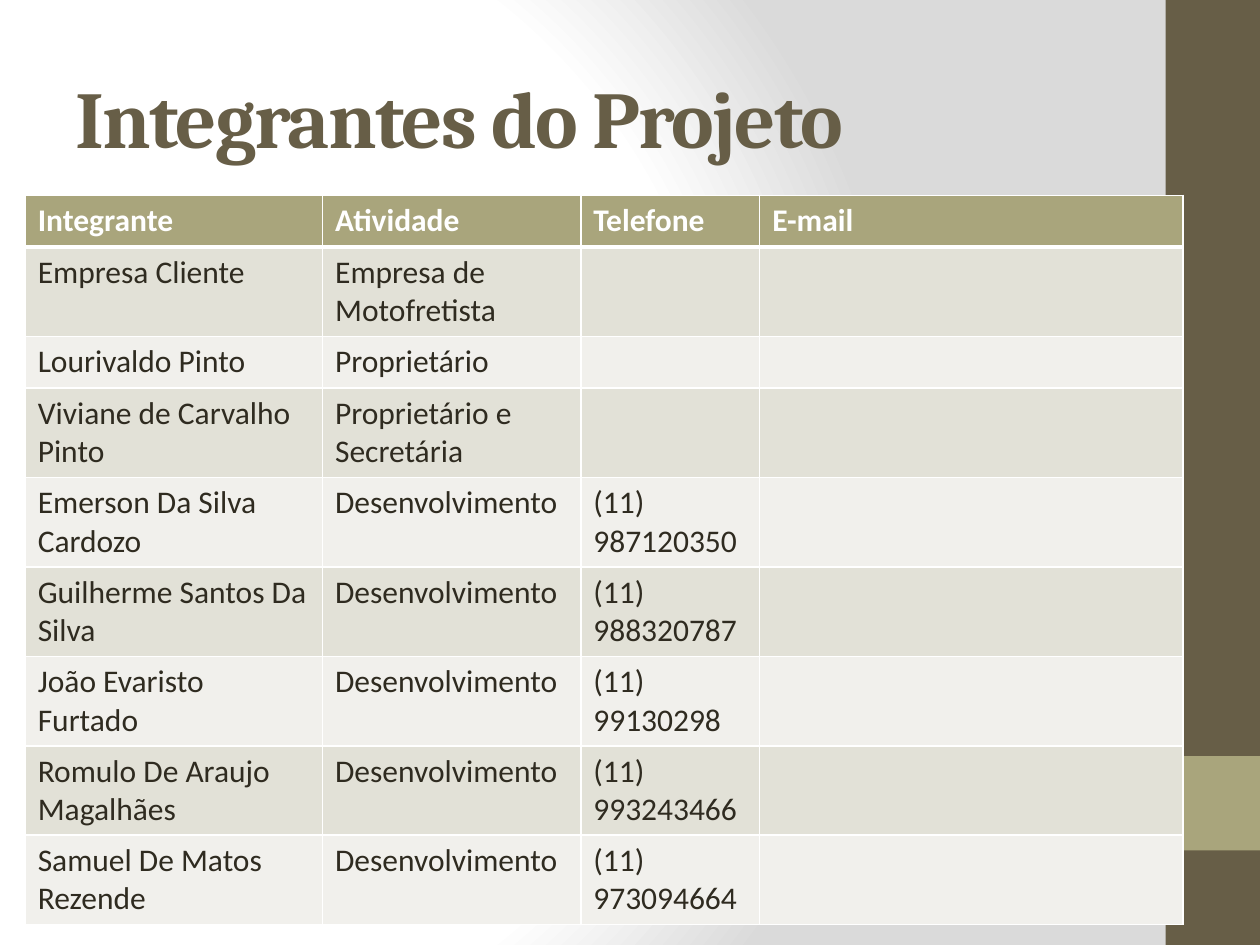
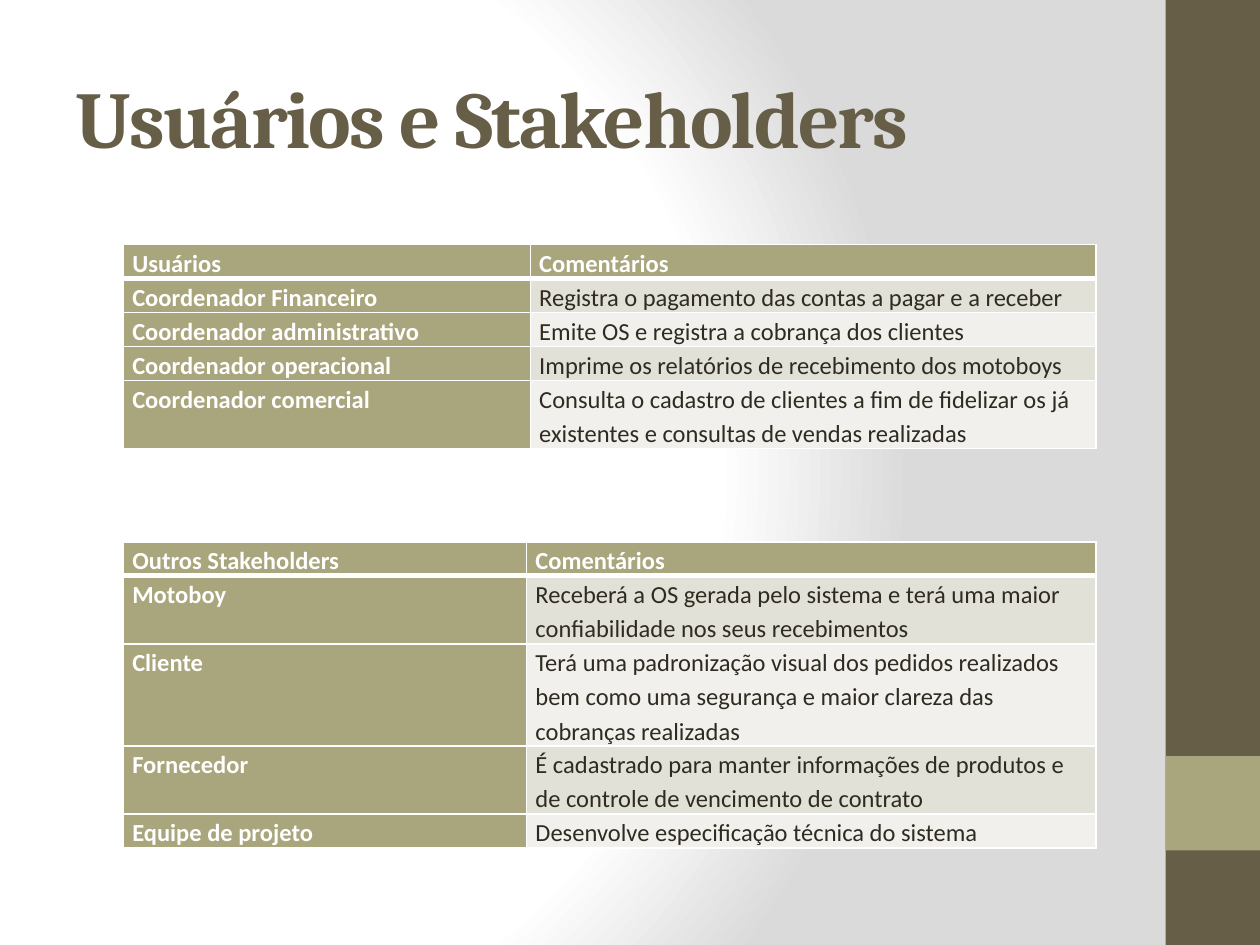
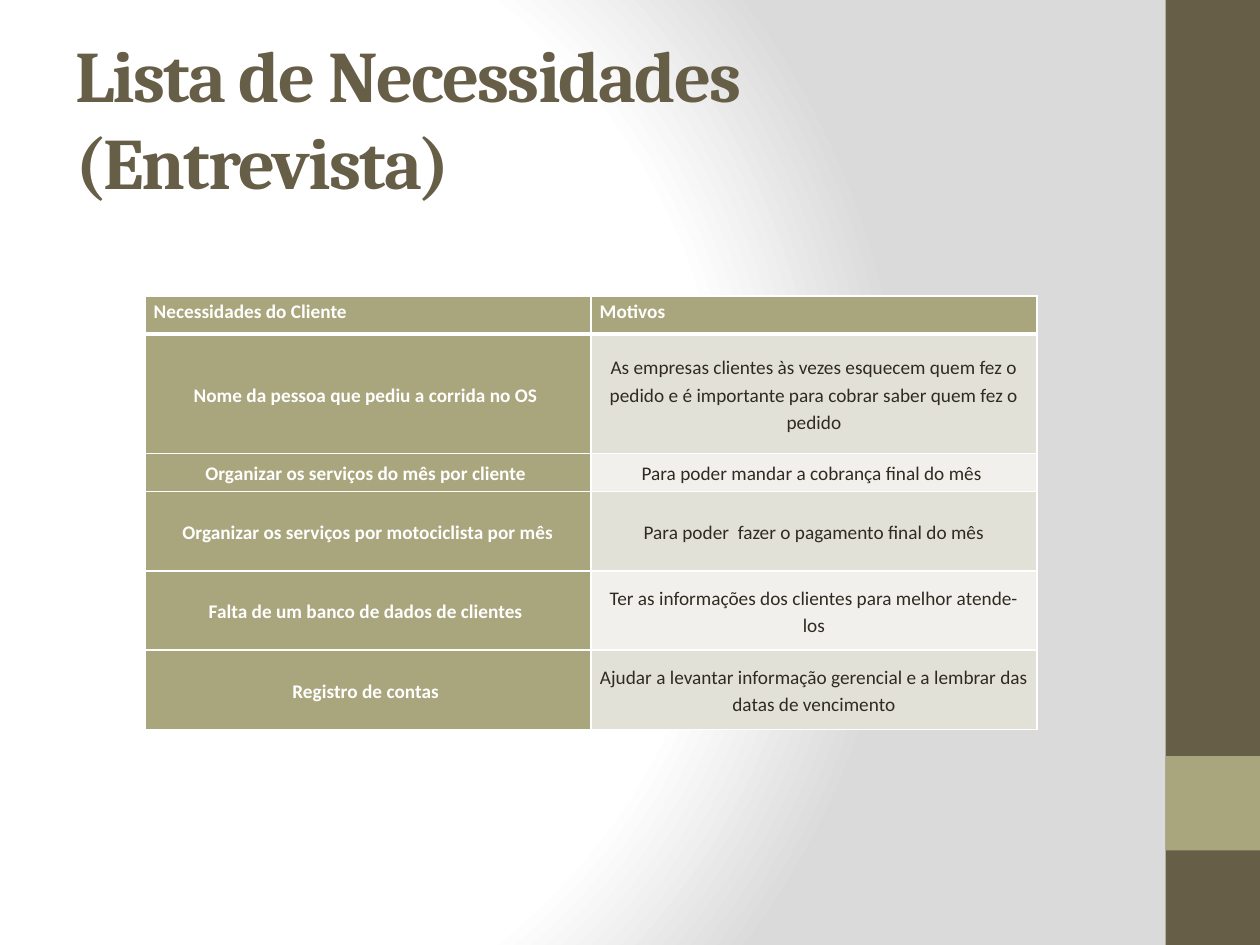
from dataclasses import dataclass
from typing import Any

from lxml import etree
from pptx import Presentation
from pptx.dml.color import RGBColor
from pptx.enum.shapes import MSO_SHAPE as Shape
from pptx.enum.text import MSO_ANCHOR as Anchor, PP_ALIGN as Align
from pptx.oxml import parse_xml
from pptx.oxml.ns import nsdecls, qn
from pptx.util import Inches, Pt

# Shared colours and fonts
BROWN = RGBColor(0x67, 0x5E, 0x47)
OLIVE = RGBColor(0xA9, 0xA5, 0x7C)
INK = RGBColor(0x2F, 0x2B, 0x20)
WHITE = RGBColor(0xFF, 0xFF, 0xFF)
GREY = RGBColor(0xDA, 0xDA, 0xDA)
ROW_FILLS = (RGBColor(0xF1, 0xF0, 0xEC), RGBColor(0xE2, 0xE1, 0xD7))
TITLE_FONT = "Cambria"
BODY_FONT = "Calibri"

# Cell and paragraph formats
COMPACT_CELL = {
    "margin_left": Inches(0.07), "margin_right": Inches(0.07),
    "margin_top": 0, "margin_bottom": 0,
}
LOOSE_LINES = {"line_spacing": 1.15}
LINE_HEIGHT = 0.27


@dataclass(frozen=True)
class Band:
    top: float
    height: float
    colour: RGBColor


@dataclass(frozen=True)
class TableSpec:
    left: float
    top: float
    columns: list[float]
    row_heights: list[float]
    rows: list[tuple[str, ...]]
    size: float
    compact: bool = True
    centred: bool = False


@dataclass(frozen=True)
class SlideSpec:
    title: str
    tables: list[TableSpec]
    title_size: float = 46


BANDS = [Band(0, 7.5, BROWN), Band(6, 0.75, OLIVE)]

MEMBERS = TableSpec(
    0.2, 1.55, [2.36, 2.05, 1.42, 3.36],
    [0.41, 0.71, 0.41] + [0.71] * 6,
    [
        ("Integrante", "Atividade", "Telefone", "E-mail"),
        ("Empresa Cliente", "Empresa de Motofretista", "", ""),
        ("Lourivaldo Pinto", "Proprietário", "", ""),
        ("Viviane de Carvalho Pinto", "Proprietário e Secretária", "", ""),
        ("Emerson Da Silva Cardozo", "Desenvolvimento", "(11) 987120350", ""),
        ("Guilherme Santos Da Silva", "Desenvolvimento", "(11)\n988320787", ""),
        ("João Evaristo Furtado", "Desenvolvimento", "(11)\n99130298", ""),
        ("Romulo De Araujo Magalhães", "Desenvolvimento", "(11)\n993243466", ""),
        ("Samuel De Matos Rezende", "Desenvolvimento", "(11)\n973094664", ""),
    ],
    size=18, compact=False,
)

USERS = TableSpec(
    0.98, 1.94, [3.23, 4.49],
    [LINE_HEIGHT * lines for lines in (1, 1, 1, 1, 2)],
    [
        ("Usuários", "Comentários"),
        ("Coordenador Financeiro",
         "Registra o pagamento das contas a pagar e a receber"),
        ("Coordenador administrativo",
         "Emite OS e registra a cobrança dos clientes"),
        ("Coordenador operacional",
         "Imprime os relatórios de recebimento dos motoboys"),
        ("Coordenador comercial",
         "Consulta o cadastro de clientes a fim de fidelizar os já "
         "existentes e consultas de vendas realizadas"),
    ],
    size=14,
)

STAKEHOLDERS = TableSpec(
    0.98, 4.3, [3.2, 4.52],
    [LINE_HEIGHT * lines for lines in (1, 2, 3, 2, 1)],
    [
        ("Outros Stakeholders", "Comentários"),
        ("Motoboy",
         "Receberá a OS gerada pelo sistema e terá uma maior "
         "confiabilidade nos seus recebimentos"),
        ("Cliente",
         "Terá uma padronização visual dos pedidos realizados bem como "
         "uma segurança e maior clareza das cobranças realizadas"),
        ("Fornecedor",
         "É cadastrado para manter informações de produtos e de controle "
         "de vencimento de contrato"),
        ("Equipe de projeto", "Desenvolve especificação técnica do sistema"),
    ],
    size=14,
)

NEEDS = TableSpec(
    1.15, 2.35, [3.54, 3.54],
    [0.3, 0.95, 0.3, 0.63, 0.63, 0.63],
    [
        ("Necessidades do Cliente", "Motivos"),
        ("Nome da pessoa que pediu a corrida no OS ",
         "As empresas clientes às vezes esquecem quem fez o pedido e é "
         "importante para cobrar saber quem fez o pedido"),
        ("Organizar os serviços do mês por cliente ",
         "Para poder mandar a cobrança final do mês "),
        ("Organizar os serviços por motociclista por mês",
         "Para poder  fazer o pagamento final do mês"),
        ("Falta de um banco de dados de clientes ",
         "Ter as informações dos clientes para melhor atende-los"),
        ("Registro de contas ",
         "Ajudar a levantar informação gerencial e a lembrar das datas "
         "de vencimento"),
    ],
    size=11, centred=True,
)

SLIDES = [
    SlideSpec("Integrantes do Projeto", [MEMBERS]),
    SlideSpec("Usuários e Stakeholders", [USERS, STAKEHOLDERS]),
    SlideSpec("Lista de Necessidades (Entrevista)", [NEEDS], title_size=41.4),
]


def apply_format(target: Any, values: dict[str, Any]) -> None:
    for name, value in values.items():
        setattr(target, name, value)


def format_font(font: Any, name: str, size: float, bold: bool, colour: RGBColor) -> None:
    apply_format(font, {"name": name, "size": Pt(size), "bold": bold})
    font.color.rgb = colour


def set_background(master: Any) -> None:
    """Give every slide the same radial gradient."""
    master.background.fill.solid()
    properties = master.element.cSld.find(qn("p:bg")).find(qn("p:bgPr"))
    stops = "".join(
        f'<a:gs pos="{position * 1000}"><a:srgbClr val="{colour}"/></a:gs>'
        for position, colour in ((0, WHITE), (75, WHITE), (100, GREY))
    )
    gradient = parse_xml(
        f'<a:gradFill {nsdecls("a")} rotWithShape="1"><a:gsLst>{stops}</a:gsLst>'
        '<a:path path="circle"><a:fillToRect l="20000" t="50000" '
        'r="100000" b="50000"/></a:path></a:gradFill>'
    )
    properties.replace(properties.find(qn("a:solidFill")), gradient)


def add_band(slide: Any, band: Band) -> None:
    shape = slide.shapes.add_shape(
        Shape.RECTANGLE, Inches(9.25), Inches(band.top), Inches(0.75), Inches(band.height)
    )
    shape.shadow.inherit = False
    shape.fill.solid()
    shape.fill.fore_color.rgb = band.colour
    shape.line.fill.background()


def add_title(slide: Any, text: str, size: float) -> None:
    box = slide.shapes.add_textbox(Inches(0.5), Inches(0.3), Inches(8.33), Inches(1.25))
    apply_format(box.text_frame, {"word_wrap": True, "vertical_anchor": Anchor.MIDDLE})
    run = box.text_frame.paragraphs[0].add_run()
    run.text = text
    format_font(run.font, TITLE_FONT, size, True, BROWN)
    run.font._element.set("spc", "-100")


def add_borders(cell: Any, row: int) -> None:
    """White grid, with a heavy rule below the header row."""
    properties = cell._tc.get_or_add_tcPr()
    widths = {"lnL": 1, "lnR": 1, "lnT": 3 if row == 1 else 1, "lnB": 3 if row == 0 else 1}
    for side, width in widths.items():
        line = etree.SubElement(properties, qn(f"a:{side}"), w=str(Pt(width)))
        fill = etree.SubElement(line, qn("a:solidFill"))
        etree.SubElement(fill, qn("a:srgbClr"), val=str(WHITE))


def fill_cell(cell: Any, text: str, row: int, column: int, spec: TableSpec) -> None:
    heading = row == 0 or (spec.compact and column == 0)
    add_borders(cell, row)
    cell.fill.solid()
    cell.fill.fore_color.rgb = OLIVE if heading else ROW_FILLS[row % 2]
    cell.text_frame.text = text
    if spec.compact:
        apply_format(cell, COMPACT_CELL)
    centred = spec.centred and row > 0
    if centred:
        cell.vertical_anchor = Anchor.MIDDLE
    for paragraph in cell.text_frame.paragraphs:
        if spec.compact:
            apply_format(paragraph, LOOSE_LINES)
        if centred:
            paragraph.alignment = Align.CENTER
        for run in paragraph.runs:
            format_font(run.font, BODY_FONT, spec.size, heading, WHITE if heading else INK)


def add_grid(slide: Any, spec: TableSpec) -> None:
    table = slide.shapes.add_table(
        len(spec.rows), len(spec.columns), Inches(spec.left), Inches(spec.top),
        Inches(sum(spec.columns)), Inches(sum(spec.row_heights)),
    ).table
    for column, width in zip(table.columns, spec.columns):
        column.width = Inches(width)
    for row, height in zip(table.rows, spec.row_heights):
        row.height = Inches(height)
    for row_index, texts in enumerate(spec.rows):
        for column_index, text in enumerate(texts):
            cell = table.cell(row_index, column_index)
            fill_cell(cell, text, row_index, column_index, spec)


def main() -> None:
    presentation = Presentation()
    apply_format(presentation, {"slide_width": Inches(10), "slide_height": Inches(7.5)})
    set_background(presentation.slide_master)
    blank_layout = presentation.slide_layouts[6]
    for spec in SLIDES:
        slide = presentation.slides.add_slide(blank_layout)
        for band in BANDS:
            add_band(slide, band)
        add_title(slide, spec.title, spec.title_size)
        for table in spec.tables:
            add_grid(slide, table)
    presentation.save("out.pptx")


if __name__ == "__main__":
    main()
